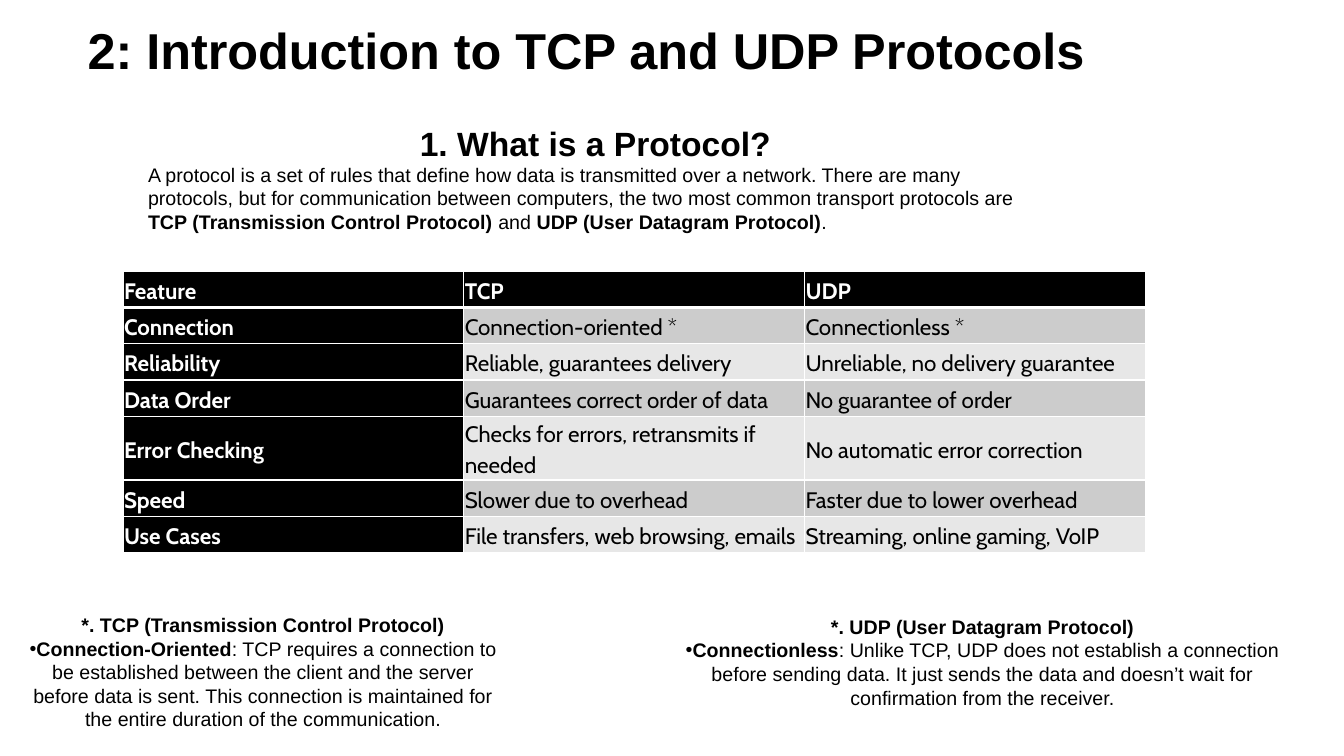
from pptx import Presentation
from pptx.dml.color import RGBColor
from pptx.enum.text import MSO_ANCHOR, PP_ALIGN
from pptx.oxml.ns import qn
from pptx.util import Pt
from lxml import etree

SCALE = 9144
BLACK = RGBColor(0x00, 0x00, 0x00)
WHITE = RGBColor(0xFF, 0xFF, 0xFF)
DARK_BAND = RGBColor(0xCC, 0xCC, 0xCC)
LIGHT_BAND = RGBColor(0xE7, 0xE7, 0xE7)
LEFT, CENTER = PP_ALIGN.LEFT, PP_ALIGN.CENTER
TOP, MIDDLE = MSO_ANCHOR.TOP, MSO_ANCHOR.MIDDLE

FEATURES = [
    ("Feature", "TCP", "UDP"),
    ("Connection", "Connection-oriented *", "Connectionless *"),
    ("Reliability", "Reliable, guarantees delivery", "Unreliable, no delivery guarantee"),
    ("Data Order", "Guarantees correct order of data", "No guarantee of order"),
    ("Error Checking", "Checks for errors, retransmits if needed", "No automatic error correction"),
    ("Speed", "Slower due to overhead", "Faster due to lower overhead"),
    ("Use Cases", "File transfers, web browsing, emails", "Streaming, online gaming, VoIP"),
]


def px(length):
    return length * SCALE


def write_run(paragraph, text, font="Arial", size=14, color=BLACK, bold=False):
    run = paragraph.add_run()
    run.text = text
    run.font.name = font
    run.font.size = Pt(size)
    run.font.color.rgb = color
    run.font.bold = bold


def add_bullet(paragraph):
    properties = paragraph._p.get_or_add_pPr()
    properties.set("marL", "0")
    properties.set("indent", "0")
    etree.SubElement(properties, qn("a:buFont"), typeface="Arial")
    etree.SubElement(properties, qn("a:buChar"), char="•")


def set_borders(cell, widths):
    properties = cell._tc.get_or_add_tcPr()
    for index, (side, width) in enumerate(widths.items()):
        line = etree.Element(qn(f"a:ln{side}"), w=str(Pt(width)))
        fill = etree.SubElement(line, qn("a:solidFill"))
        etree.SubElement(fill, qn("a:srgbClr"), val=str(WHITE))
        properties.insert(index, line)


class ProtocolSlide:
    def __init__(self, presentation):
        self.slide = presentation.slides.add_slide(presentation.slide_layouts[6])

    def text_box(self, left, top, width, height, anchor=MIDDLE):
        shape = self.slide.shapes.add_textbox(px(left), px(top), px(width), px(height))
        shape.text_frame.word_wrap = True
        shape.text_frame.vertical_anchor = anchor
        return shape.text_frame

    def title(self, text):
        frame = self.text_box(77, -19, 1150, 135)
        write_run(frame.paragraphs[0], text, size=36, bold=True)

    def introduction(self, heading, parts):
        frame = self.text_box(137, 116, 907, 121)
        frame.paragraphs[0].alignment = CENTER
        write_run(frame.paragraphs[0], heading, size=24, bold=True)
        body = frame.add_paragraph()
        body.alignment = LEFT
        for text, bold in parts:
            write_run(body, text, bold=bold)

    def note(self, left, top, width, height, heading, term, text, anchor):
        frame = self.text_box(left, top, width, height, anchor)
        frame.paragraphs[0].alignment = CENTER
        write_run(frame.paragraphs[0], heading, bold=True)
        body = frame.add_paragraph()
        body.alignment = CENTER
        add_bullet(body)
        write_run(body, term, bold=True)
        write_run(body, text)

    def table(self, left, top, column_width, row_height, rows):
        columns = len(rows[0])
        table = self.slide.shapes.add_table(
            len(rows), columns, px(left), px(top),
            px(column_width * columns), px(row_height * len(rows))).table
        for column in table.columns:
            column.width = px(column_width)
        for row_index, texts in enumerate(rows):
            table.rows[row_index].height = px(row_height)
            for column_index, text in enumerate(texts):
                self.table_cell(table.cell(row_index, column_index), text, row_index, column_index)

    def table_cell(self, cell, text, row, column):
        heading = row == 0 or column == 0
        band = DARK_BAND if row % 2 else LIGHT_BAND
        cell.fill.solid()
        cell.fill.fore_color.rgb = BLACK if heading else band
        cell.margin_left = cell.margin_right = cell.margin_top = cell.margin_bottom = px(1)
        cell.vertical_anchor = MIDDLE
        set_borders(cell, {"L": 1, "R": 1, "T": 3 if row == 1 else 1, "B": 3 if row == 0 else 1})
        paragraph = cell.text_frame.paragraphs[0]
        paragraph.line_spacing = 1.15
        paragraph.space_after = Pt(8)
        write_run(paragraph, text, font="Cabin", size=16,
                  color=WHITE if heading else BLACK, bold=heading)


def main():
    presentation = Presentation()
    presentation.slide_width = px(1333)
    presentation.slide_height = px(750)
    slide = ProtocolSlide(presentation)
    slide.title("2: Introduction to TCP and UDP Protocols")
    slide.introduction("1. What is a Protocol?", [
        ("A protocol is a set of rules that define how data is transmitted over a network. "
         "There are many protocols, but for communication between computers, "
         "the two most common transport protocols are ", False),
        ("TCP (Transmission Control Protocol)", True),
        (" and ", False),
        ("UDP (User Datagram Protocol)", True),
        (".", False),
    ])
    slide.note(12, 579, 498, 175, "*. TCP (Transmission Control Protocol)", "Connection-Oriented",
               ": TCP requires a connection to be established between the client and the server "
               "before data is sent. This connection is maintained for the entire duration "
               "of the communication.", MIDDLE)
    slide.note(667, 605, 615, 128, "*. UDP (User Datagram Protocol)", "Connectionless",
               ": Unlike TCP, UDP does not establish a connection before sending data. "
               "It just sends the data and doesn’t wait for confirmation from the receiver.", TOP)
    slide.table(122, 269, 338, 36, FEATURES)
    presentation.save("out.pptx")


if __name__ == "__main__":
    main()
